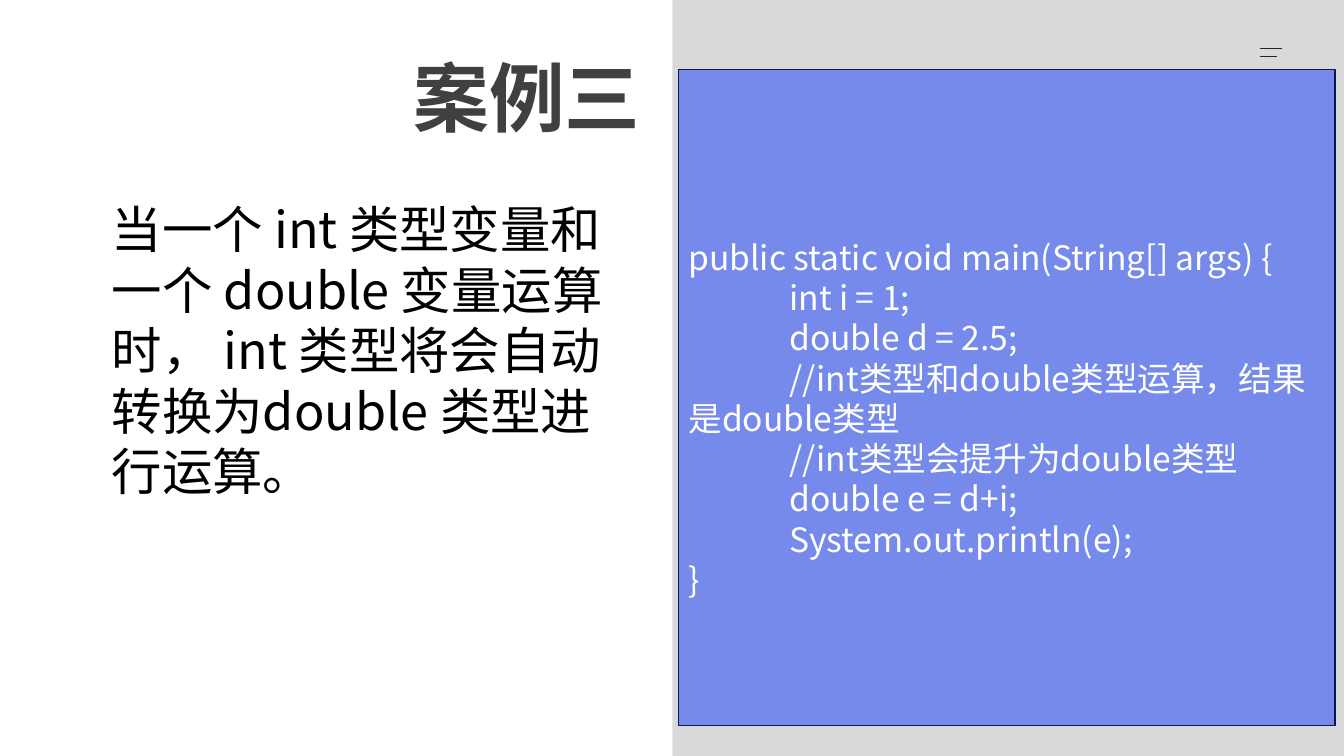
from lxml import etree
from pptx import Presentation
from pptx.dml.color import RGBColor
from pptx.enum import shapes, text
from pptx.oxml.ns import qn
from pptx.util import Inches, Pt

TITLE = "案例三"
BODY = ["当一个 int 类型变量和一个 double 变量运算时， int 类型将会自动转换为double 类型进行运算。"]
CODE = [
    "public static void main(String[] args) {",
    "\tint i = 1;",
    "\tdouble d = 2.5;",
    "\t//int类型和double类型运算，结果\t是double类型",
    "\t//int类型会提升为double类型",
    "\tdouble e = d+i;",
    "\tSystem.out.println(e);",
    "}",
]
MENU_LINES = [(0.48, 0.22), (0.56, 0.17)]  # top, length
COLORS = {"title": "404040", "panel": "D9D9D9", "menu": "262626", "code": "758AEA",
          "code_line": "0B1649", "code_text": "FFFFFF", "body": "000000"}
CJK = "Noto Sans CJK SC"


def color(name):
    return RGBColor.from_string(COLORS[name])


def write(sp, lines, size, fill, font=CJK, bold=False, align=text.PP_ALIGN.LEFT,
          anchor=text.MSO_ANCHOR.TOP, tab=None):
    tf = sp.text_frame
    tf.word_wrap = True
    tf.auto_size = text.MSO_AUTO_SIZE.NONE
    tf.vertical_anchor = anchor
    for i, line in enumerate(lines):
        p = tf.paragraphs[0] if i == 0 else tf.add_paragraph()
        p.alignment = align
        if tab:
            tabs = etree.SubElement(p._p.get_or_add_pPr(), qn("a:tabLst"))
            etree.SubElement(tabs, qn("a:tab"), pos=str(Inches(tab)), algn="l")
        r = p.add_run()
        r.text = line
        r.font.name, r.font.size, r.font.bold = font, Pt(size), bold
        r.font.color.rgb = color(fill)
        etree.SubElement(r.font._element, qn("a:ea"), typeface=CJK)
    return tf


def rect(slide, box, fill, line=None):
    sp = slide.shapes.add_shape(shapes.MSO_SHAPE.RECTANGLE, *map(Inches, box))
    sp.shadow.inherit = False
    sp.fill.solid()
    sp.fill.fore_color.rgb = color(fill)
    if line:
        sp.line.color.rgb = color(line)
        sp.line.width = Pt(1)
    else:
        sp.line.fill.background()
    return sp


prs = Presentation()
prs.slide_width, prs.slide_height = Inches(13.33), Inches(7.5)
s = prs.slides.add_slide(prs.slide_layouts[5])

# Title
title = s.shapes.title
title.left, title.top, title.width, title.height = map(Inches, (1.49, 0, 4.96, 1.92))
write(title, [TITLE], 54, "title", font="Arial", bold=True,
      align=text.PP_ALIGN.RIGHT, anchor=text.MSO_ANCHOR.MIDDLE)

# Right panel with menu mark
rect(s, (6.67, 0, 6.67, 7.5), "panel")
for top, length in MENU_LINES:
    c = s.shapes.add_connector(shapes.MSO_CONNECTOR.STRAIGHT, Inches(12.5), Inches(top),
                               Inches(12.5 + length), Inches(top))
    c.line.color.rgb = color("menu")
    c.line.width = Pt(1)
    etree.SubElement(c._element.spPr, qn("a:effectLst"))

# Code block, set slightly below the middle
code = rect(s, (6.73, 0.69, 6.51, 6.51), "code", "code_line")
tf = write(code, CODE, 24, "code_text", anchor=text.MSO_ANCHOR.MIDDLE, tab=1)
tf.margin_top = Inches(0.45)

# Explanation
body = s.shapes.add_textbox(*map(Inches, (1.01, 1.92, 5.08, 3.9)))
write(body, BODY, 36, "body")

prs.save("out.pptx")
